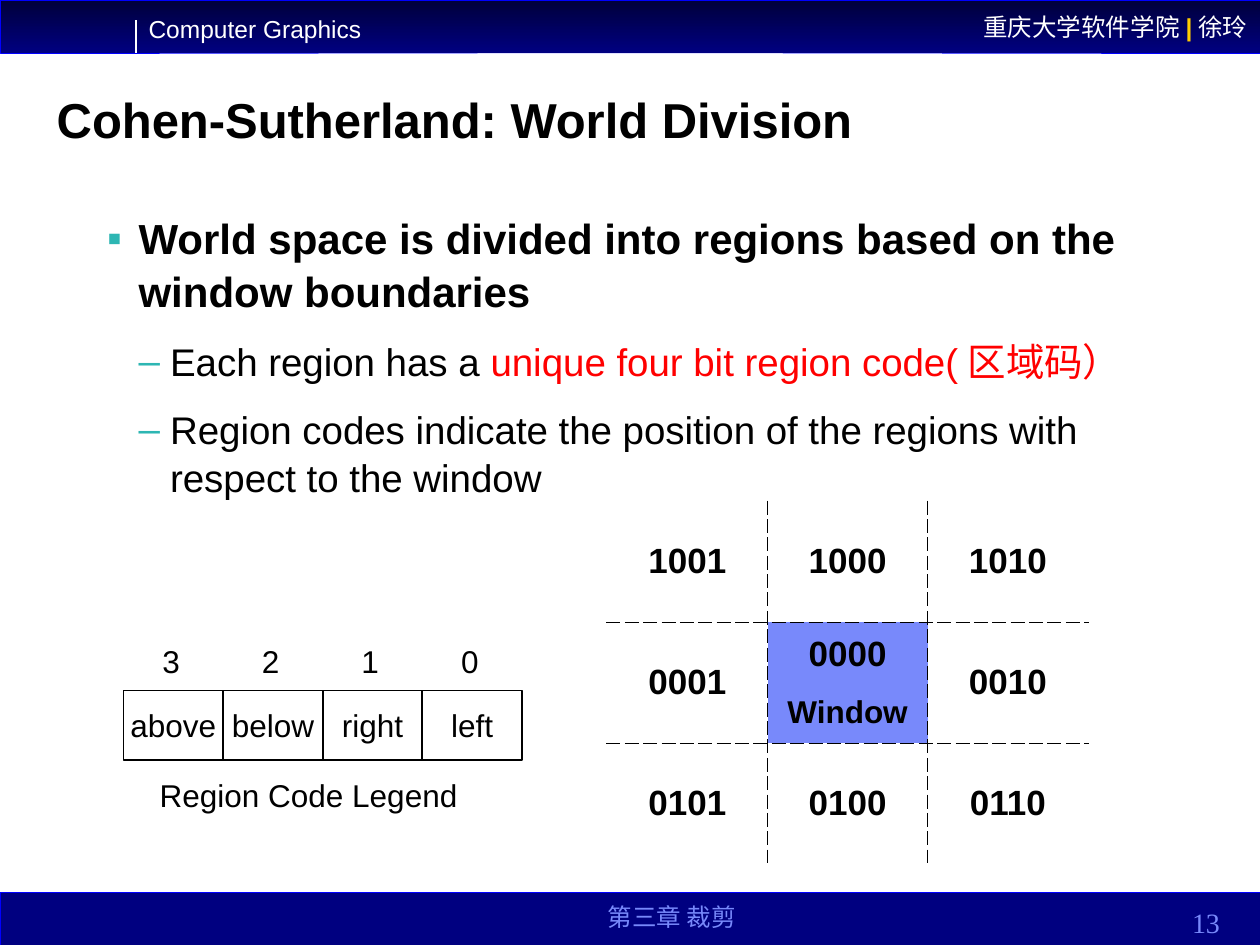
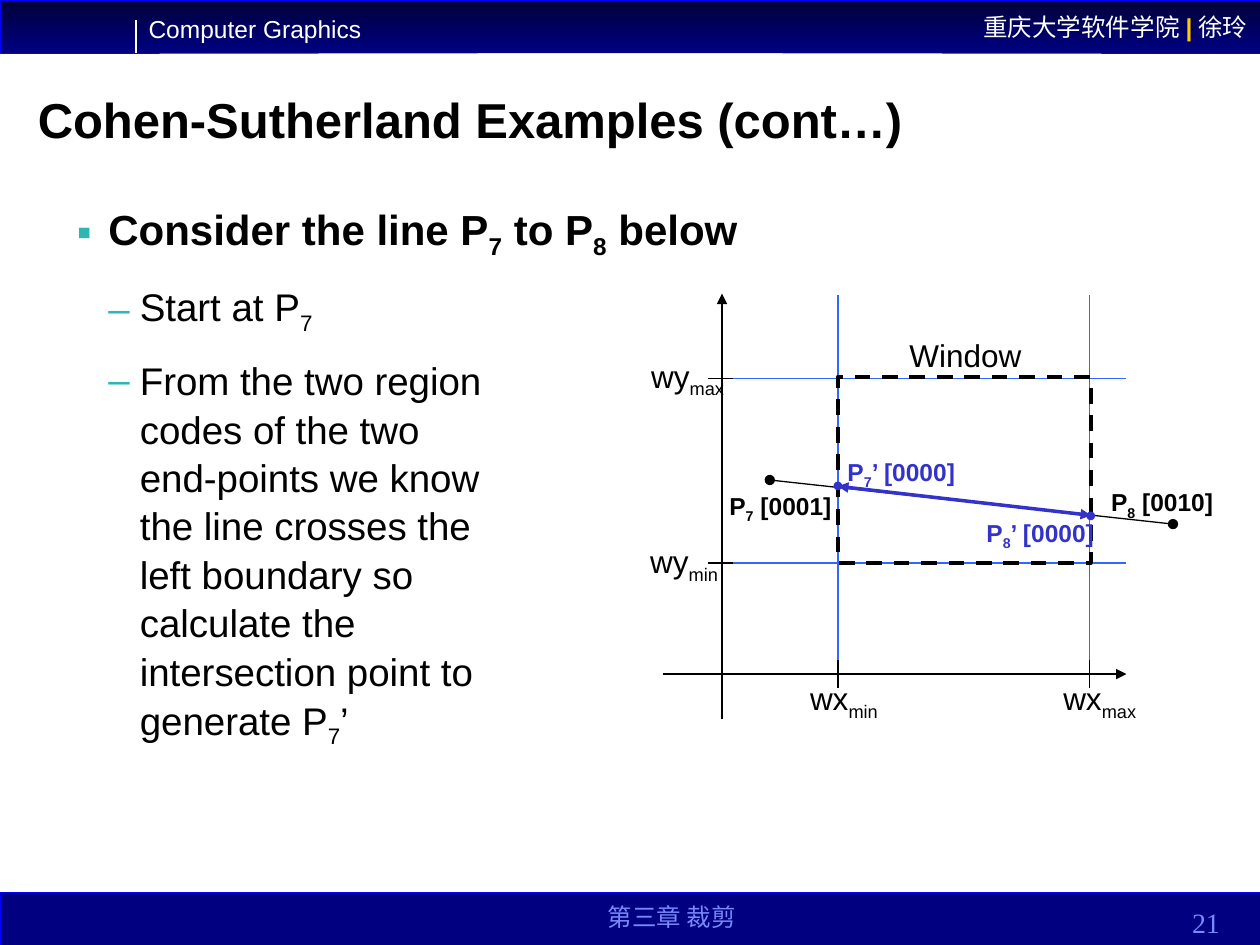
from copy import deepcopy
from dataclasses import dataclass

from lxml import etree
from pptx import Presentation
from pptx.dml import color
from pptx.enum import dml, shapes, text
from pptx.oxml import ns
from pptx.util import Pt

BLACK, WHITE, NAVY, DARK = "000000", "FFFFFF", "000080", "00003B"
EDGE, GOLD, TEAL, PALE = "0000FF", "FFCC00", "2DB6B3", "7889FB"
RED, BLUE, INK = "FF0000", "3366FF", "3333CC"
SANS, SERIF = "Arial", "Times New Roman"
SUB = "sub"
WIDE, HIGH, BAND = 720, 540, 30.2
LEFT, MID, RIGHT = text.PP_ALIGN.LEFT, text.PP_ALIGN.CENTER, text.PP_ALIGN.RIGHT
TOP, HALF, LOW = text.MSO_ANCHOR.TOP, text.MSO_ANCHOR.MIDDLE, text.MSO_ANCHOR.BOTTOM
RECT, OVAL = shapes.MSO_SHAPE.RECTANGLE, shapes.MSO_SHAPE.OVAL


@dataclass
class Style:
    size: float = 18
    tint: str = BLACK
    bold: bool = False
    font: str = SANS
    mark: str = SUB  # look of the parts between underscores: SUB or a colour


@dataclass
class Label:
    words: str
    x: float
    y: float
    w: float
    h: float
    style: Style
    align: object = LEFT
    anchor: object = TOP
    wrap: bool = False


@dataclass
class Line:
    x1: float
    y1: float
    x2: float
    y2: float
    tint: str = BLACK
    width: float = 0.75
    head: str = ""
    tail: str = ""


@dataclass
class Item:
    words: str
    level: int = 0
    mark: str = SUB


def rgb(code: str) -> color.RGBColor:
    return color.RGBColor.from_string(code)


def node(parent, tag: str, **attrs: str):
    return etree.SubElement(parent, ns.qn(tag), **attrs)


# Text
def write(para, words: str, style: Style) -> None:
    """Fill a paragraph; parts between underscores take the style's mark."""
    first, *rest = words.split("_")
    para.text = first
    for part in rest:
        para.add_run().text = part
    for run in para.runs:
        font = run.font
        font.size, font.bold, font.name = Pt(style.size), style.bold, style.font
        font.color.rgb = rgb(style.tint)
    for gap in para._p.findall(ns.qn("a:br")):
        gap.insert(0, deepcopy(para.runs[0].font._element))
    marked = para.runs[-len(rest)::2] if rest else ()
    for run in marked:
        if style.mark == SUB:
            run.font._element.set("baseline", "-25000")
        else:
            run.font.color.rgb = rgb(style.mark)


def label(slide, spec: Label):
    box = slide.shapes.add_textbox(Pt(spec.x), Pt(spec.y), Pt(spec.w), Pt(spec.h))
    frame = box.text_frame
    frame.word_wrap, frame.vertical_anchor = spec.wrap, spec.anchor
    write(frame.paragraphs[0], spec.words, spec.style)
    frame.paragraphs[0].alignment = spec.align


# Shapes and lines
def block(slide, kind, x: float, y: float, w: float, h: float,
          fill: str = "", edge: str = "", width: float = 1):
    shape = slide.shapes.add_shape(kind, Pt(x), Pt(y), Pt(w), Pt(h))
    shape.shadow.inherit = False
    if fill:
        shape.fill.solid()
        shape.fill.fore_color.rgb = rgb(fill)
    else:
        shape.fill.background()
    if edge:
        shape.line.color.rgb, shape.line.width = rgb(edge), Pt(width)
    else:
        shape.line.fill.background()
    return shape


def inside(shape, words: str, style: Style, align, wrap: bool) -> None:
    frame = shape.text_frame
    frame.word_wrap, frame.vertical_anchor = wrap, HALF
    write(frame.paragraphs[0], words, style)
    frame.paragraphs[0].alignment = align


def draw(slide, spec: Line) -> None:
    link = slide.shapes.add_connector(
        shapes.MSO_CONNECTOR.STRAIGHT, Pt(spec.x1), Pt(spec.y1), Pt(spec.x2), Pt(spec.y2))
    link.line.color.rgb, link.line.width = rgb(spec.tint), Pt(spec.width)
    for tag, kind in (("a:headEnd", spec.head), ("a:tailEnd", spec.tail)):
        if kind:
            node(link.line._get_or_add_ln(), tag, type=kind)
    node(link._element.spPr, "a:effectLst")


# Shared page: bands, title and list
def place(shape, x: float, y: float, w: float, h: float):
    shape.left, shape.top, shape.width, shape.height = Pt(x), Pt(y), Pt(w), Pt(h)
    shape.text_frame.auto_size = text.MSO_AUTO_SIZE.NONE
    return shape.text_frame


def bands(slide, page: int) -> None:
    top = block(slide, RECT, 0, 0, WIDE, BAND, NAVY, EDGE, 0.25)
    top.fill.gradient()
    top.fill.gradient_angle = 270
    for stop, tint in zip(top.fill.gradient_stops, (DARK, NAVY)):
        stop.color.rgb = rgb(tint)
    inside(top, "重庆大学软件学院_|_徐玲", Style(14, WHITE, mark=GOLD), RIGHT, True)
    top.text_frame.paragraphs[0].runs[1].font.bold = True
    block(slide, RECT, 0, HIGH - BAND, WIDE, BAND, NAVY, EDGE, 0.25)
    label(slide, Label("Computer Graphics", 77.8, 4.3, 136, 24.5, Style(14, WHITE)))
    draw(slide, Line(77.8, 11.5, 77.8, BAND, WHITE))
    label(slide, Label("第三章 裁剪", 270, 508.3, 228, 27.4,
                       Style(14, PALE, font=SERIF), MID, LOW, True))
    label(slide, Label(str(page), 632.2, 512.6, 72, 27.4,
                       Style(16, PALE, font=SERIF), RIGHT, LOW, True))


def bullet(para, item: Item, first: bool) -> None:
    deep = item.level == 1
    para.level, para.line_spacing = item.level, 1.05
    para.space_before = Pt(0 if first else 6.9 if deep else 10.5)
    para.space_after = Pt(4.1 if deep else 4.5)
    props = para._p.get_or_add_pPr()
    props.set("marL", str(Pt(36 if deep else 18)))
    props.set("indent", str(Pt(-18)))
    node(node(props, "a:buClr"), "a:srgbClr", val=TEAL)
    node(props, "a:buChar", char="–" if deep else "▪")
    write(para, item.words, Style(22 if deep else 24, bold=not deep, mark=item.mark))


def page(deck, number: int, title: str, x: float, items: list[Item],
         left: float, top: float):
    slide = deck.slides.add_slide(deck.slide_layouts[1])
    bands(slide, number)
    frame = place(slide.shapes.title, x, 49, 649.4, 39.6)
    frame.vertical_anchor = LOW
    head = frame.paragraphs[0]
    write(head, title, Style(28, bold=True))
    head.alignment, head.line_spacing = LEFT, 0.9
    frame = place(slide.placeholders[1], left, top, 612, 307.4)
    for i, item in enumerate(items):
        bullet(frame.add_paragraph() if i else frame.paragraphs[0], item, i == 0)
    return slide


# Region table and legend
def border(cell, sides: list[str]) -> None:
    props = cell._tc.get_or_add_tcPr()
    for i, side in enumerate(sides):
        edge = etree.Element(ns.qn(f"a:ln{side}"), w=str(Pt(0.45)))
        node(node(edge, "a:solidFill"), "a:srgbClr", val=BLACK)
        node(edge, "a:prstDash", val="dash")
        props.insert(i, edge)


def regions(slide) -> None:
    codes = (("1001", "1000", "1010"), ("0001", "0000\nWindow", "0010"),
             ("0101", "0100", "0110"))
    wide, high = 91.6, 69
    grid = slide.shapes.add_table(3, 3, Pt(347), Pt(286.5), Pt(3 * wide), Pt(3 * high)).table
    grid.first_row = grid.horz_banding = False
    for i in range(3):
        grid.columns[i].width, grid.rows[i].height = Pt(wide), Pt(high)
    for r, row in enumerate(codes):
        for c, words in enumerate(row):
            cell = grid.cell(r, c)
            cell.vertical_anchor = HALF
            cell.fill.background()
            cell.text = words
            for para, size in zip(cell.text_frame.paragraphs, (20, 18)):
                write(para, para.text, Style(size, bold=True))
                para.alignment = MID
            inner = {"L": c > 0, "R": c < 2, "T": r > 0, "B": r < 2}
            if all(inner.values()):
                cell.fill.solid()
                cell.fill.fore_color.rgb = rgb(PALE)
                para.space_before = Pt(11.6)
            border(cell, [side for side, shown in inner.items() if shown])


def legend(slide) -> None:
    wide = 56.9
    for i, name in enumerate(("above", "below", "right", "left")):
        x = 70.6 + i * wide
        inside(block(slide, RECT, x, 394.6, wide, 39.6, edge=BLACK),
               name, Style(), MID, False)
        label(slide, Label(str(3 - i), x + 15.1, 363.6, 24.5, 28.8, Style()))
    label(slide, Label("Region Code Legend", 84.2, 440, 184.3, 28.8, Style()))


# Clipping diagram
def clip(slide) -> None:
    x1, x2, y1, y2 = 478.8, 622.8, 216.5, 321.8
    for x in (x1, x2):
        draw(slide, Line(x, 168.5, x, 380, BLUE))
        draw(slide, Line(x, 377.3, x, 393.1))
    for y in (y1, y2):
        draw(slide, Line(643.3, y, 418, y, BLUE))
        draw(slide, Line(419, y, 404.6, y))
    draw(slide, Line(378.7, 385.2, 643.7, 385.2, tail="triangle"))
    draw(slide, Line(412.6, 411.1, 412.6, 167.8, tail="triangle"))
    frame = block(slide, RECT, x1, 215.5, 144.5, 106.3, edge=BLACK, width=2.25)
    frame.line.dash_style = dml.MSO_LINE.DASH

    draw(slide, Line(439.9, 274.3, 670.3, 299.5, head="oval", tail="oval"))
    for x, y in ((x1, 277.7), (x2 + 0.5, 294.8)):
        block(slide, OVAL, x - 2.5, y - 2.5, 5, 5, INK)
    draw(slide, Line(x1, 277.9, 623.5, 294.5, INK, 2, "triangle", "triangle"))

    plain, point, cut = Style(), Style(14, bold=True), Style(14, INK, True)
    for spec in (
        Label("wy_max", 365, 200.2, 56.2, 31.7, plain),
        Label("wy_min", 364.5, 306, 53.3, 31.7, plain),
        Label("wx_min", 455.8, 384.5, 53.3, 31.7, plain),
        Label("wx_max", 600.5, 384.5, 56.2, 31.7, plain),
        Label("Window", 512.6, 188.6, 78.5, 28.8, plain),
        Label("P_7_’ [0000]", 477.2, 257.8, 76.3, 26.6, cut),
        Label("P_8_’ [0000]", 556.6, 292.3, 76.3, 26.6, cut),
        Label("P_7_ [0001]", 409.7, 277.2, 72.7, 26.6, point),
        Label("P_8_ [0010]", 627.8, 275, 72.7, 26.6, point),
    ):
        label(slide, spec)


def main() -> None:
    deck = Presentation()
    deck.slide_width, deck.slide_height = Pt(WIDE), Pt(HIGH)

    world = page(deck, 13, "Cohen-Sutherland: World Division", 25.2, [
        Item("World space is divided into regions based on the window boundaries"),
        Item("Each region has a _unique four bit region code(区域码）", 1, RED),
        Item("Region codes indicate the position of the regions with "
             "respect to the window", 1),
    ], 54, 116.6)
    regions(world)
    legend(world)

    case = page(deck, 21, "Cohen-Sutherland Examples (cont…)", 14.4, [
        Item("Consider the line P_7_ to P_8_ below"),
        Item("Start at P_7", 1),
        Item("From the two region \vcodes of the two \vend-points we know \v"
             "the line crosses the \vleft boundary so \vcalculate the \v"
             "intersection point to \vgenerate P_7_’", 1),
    ], 36.7, 110.9)
    clip(case)
    deck.save("out.pptx")


if __name__ == "__main__":
    main()
